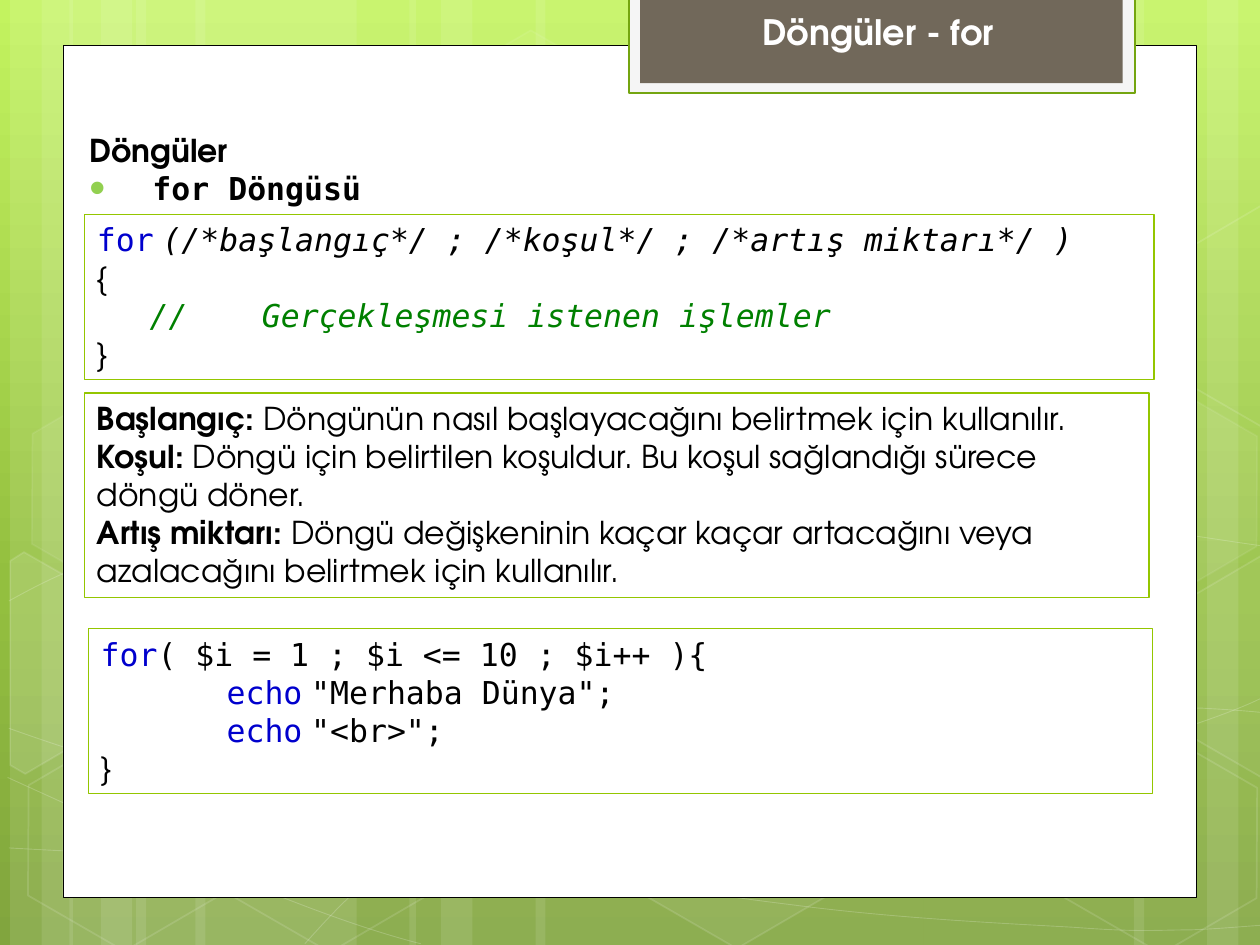
"""Build a slide on the for loop, with code and notes in framed boxes."""
from copy import deepcopy
from math import cos, radians, sin

from lxml import etree
from pptx import Presentation
from pptx.dml.color import RGBColor
from pptx.enum.shapes import MSO_SHAPE
from pptx.enum.text import MSO_ANCHOR, PP_ALIGN
from pptx.oxml.ns import qn
from pptx.util import Inches, Pt

RECT, HEX = MSO_SHAPE.RECTANGLE, MSO_SHAPE.HEXAGON
TOP, LEFT, MID = MSO_ANCHOR.TOP, PP_ALIGN.LEFT, PP_ALIGN.CENTER
SANS, MONO = "TeX Gyre Adventor", "DejaVu Sans Mono"
TILT = 30
INK = {"white": "FFFFFF", "black": "000000", "blue": "0000CD", "green": "008000",
       "dot": "92D050", "frame": "94C600", "edge": "74A510", "pale": "F5F5F5",
       "brown": "71685A"}
SKY = [(0, "C3F35F"), (0.62, "93BF3F"), (1, "81A53E")]

# style: font, colour, bold, italic
STYLE = {"head": (SANS, "white", True, False), "bold": (SANS, "black", True, False),
         "text": (SANS, "black", False, False), "item": (MONO, "black", True, False),
         "key": (MONO, "blue", False, False), "code": (MONO, "black", False, False),
         "slant": (MONO, "black", False, True), "note": (MONO, "green", False, True)}
TITLE = [(0, 0, [("head", "Döngüler - for")])]
BODY = [(0, 0, [("bold", "Döngüler")]),
        (0.5, -0.5, [("item", "for Döngüsü")])]
# box: place, then lines of margin, indent and runs
BOXES = [
    ((0.67, 1.7, 8.49, 1.31), [
        (0, 0, [("key", "for"), ("text", " "),
                ("slant", "(/*başlangıç*/ ; /*koşul*/ ; /*artış miktarı*/ )")]),
        (0, 0, [("text", "{")]),
        (1.31, -0.89, [("note", "//\tGerçekleşmesi istenen işlemler")]),
        (0, 0, [("text", "}")])]),
    ((0.67, 3.12, 8.45, 1.62), [
        (0, 0, [("bold", "Başlangıç: "),
                ("text", "Döngünün nasıl başlayacağını belirtmek için kullanılır.")]),
        (0, 0, [("bold", "Koşul: "),
                ("text", "Döngü için belirtilen koşuldur. Bu koşul sağlandığı sürece "
                         "döngü döner.")]),
        (0, 0, [("bold", "Artış miktarı: "),
                ("text", "Döngü değişkeninin kaçar kaçar artacağını veya azalacağını "
                         "belirtmek için kullanılır.")])]),
    ((0.7, 4.99, 8.45, 1.31), [
        (0, 0, [("key", "for"), ("code", "( $i = 1 ; $i <= 10 ; $i++ ){")]),
        (1, 0, [("key", "echo"), ("text", " "), ("code", '"Merhaba Dünya";')]),
        (1, 0, [("key", "echo"), ("text", " "), ("code", '"<br>";')]),
        (0, 0, [("text", "}")])]),
]

BANDS = [(1.08, 1.75), (0.08, 0.5), (0.33, 0.83), (1.55, 1.75), (0.55, 0.5),
         (0.8, 0.83), (7.33, 1.75), (9.58, 0.5), (9, 0.83), (4.25, 3.08),
         (3.25, 0.5), (3.5, 0.83)]
# cubic curves: a start, then three points for each piece
CURVES = [
    [(0.07, 6.73), (0.61, 6.76), (1.15, 6.79), (1.9, 6.78), (2.65, 6.77), (3.58, 6.75),
     (4.58, 6.65), (5.58, 6.55), (7, 6.36), (7.92, 6.17), (8.83, 5.98), (9.77, 5.68),
     (10.07, 5.51)],
    [(0.07, 4.77), (0.36, 4.61), (0.65, 4.46), (1.21, 4.31), (1.78, 4.16), (2.59, 3.94),
     (3.47, 3.87), (4.36, 3.8), (5.44, 3.79), (6.54, 3.87), (7.64, 3.95), (9.47, 4.26),
     (10.07, 4.34)],
    [(0.06, 6.17), (1.27, 6.72), (2.47, 7.27), (3.34, 7.49)],
    [(0.07, 5.78), (0.38, 5.89), (0.7, 6), (1.28, 6.16), (1.86, 6.31), (2.73, 6.56),
     (3.57, 6.73), (4.4, 6.9), (5.45, 7.08), (6.28, 7.18), (7.11, 7.29), (8, 7.33),
     (8.53, 7.36), (9.05, 7.4), (9.19, 7.38), (9.45, 7.38), (9.71, 7.37), (9.89, 7.35),
     (10.07, 7.34)],
    [(2.42, 7.49), (2.6, 7.29), (2.78, 7.09), (3.02, 6.91), (3.26, 6.73), (3.6, 6.53),
     (3.88, 6.39), (4.16, 6.25), (4.33, 6.19), (4.7, 6.09), (5.06, 5.99), (5.73, 5.85),
     (6.08, 5.78), (6.44, 5.71), (6.49, 5.71), (6.8, 5.69), (7.11, 5.66), (7.6, 5.63),
     (7.94, 5.62), (8.29, 5.61), (8.86, 5.62), (8.86, 5.62), (9.08, 5.62), (9.31, 5.62),
     (9.53, 5.62), (9.71, 5.63), (9.88, 5.64), (10.06, 5.66)],
]
# left, top, fill opacity, line opacity
CELLS = [(3.34, 0.36, 4, 8), (4.97, 5.89, 6, 12), (0.11, 5.91, 0, 12),
         (0.14, 3.12, 7, 8), (1.74, 5.92, 0, 12), (7.53, 4.53, 10, 12),
         (8.34, 5.93, 0, 12), (8.34, 3.14, 7, 8)]
# centre, points, fill opacity
PARTS = [
    ((0.36, 5.35), [(0.08, 4.45), (0.19, 4.38), (0.96, 4.82), (0.95, 5.7), (0.2, 6.14),
                    (0.08, 6.07)], 10),
    ((9.85, 5.2), [(9.26, 4.85), (10.01, 4.41), (10.09, 4.46), (10.09, 6.13),
                   (10.02, 6.17), (9.26, 5.73)], 4),
    ((9.85, 2.41), [(9.26, 2.07), (10.01, 1.63), (10.1, 1.68), (10.09, 3.35),
                    (10.02, 3.39), (9.26, 2.95)], 0),
]
# place, fill, line, line width
PANELS = [((0.5, 0.36, 9, 6.76), "white", "black", 0.5),
          ((4.99, -0.02, 4.02, 0.76), "pale", "edge", 1.25),
          ((5.08, -0.02, 3.83, 0.68), "brown", None, 0)]


def rgb(name):
    return RGBColor.from_string(INK[name])


def fade(shape, route, part):
    for node in shape.element.spPr.xpath(route + "a:solidFill/a:srgbClr"):
        etree.SubElement(node, qn("a:alpha")).set("val", str(part * 1000))


def paint(shape, fill=None, line=None, width=1, veil=100, haze=100):
    shape.shadow.inherit = False
    if fill and veil:
        shape.fill.solid()
        shape.fill.fore_color.rgb = rgb(fill)
    else:
        shape.fill.background()
    if line:
        shape.line.color.rgb = rgb(line)
        shape.line.width = Pt(width)
    else:
        shape.line.fill.background()
    if veil < 100:
        fade(shape, "./", veil)
    if haze < 100:
        fade(shape, "./a:ln/", haze)


def add(slide, kind, place):
    return slide.shapes.add_shape(kind, *map(Inches, place))


def trace(slide, points, close):
    spots = [(Inches(x), Inches(y)) for x, y in points]
    pen = slide.shapes.build_freeform(*spots[0])
    pen.add_line_segments(spots[1:], close=close)
    return pen.convert_to_shape()


def bend(shape):
    legs = shape.element.spPr.xpath(".//a:lnTo")
    for i in range(0, len(legs), 3):
        arc = etree.Element(qn("a:cubicBezTo"))
        legs[i].addprevious(arc)
        for leg in legs[i:i + 3]:
            arc.append(leg[0])
            leg.getparent().remove(leg)
    return shape


def turn(points, mid):
    c, s = cos(radians(TILT)), sin(radians(TILT))
    gaps = [(x - mid[0], y - mid[1]) for x, y in points]
    return [(mid[0] + x * c + y * s, mid[1] + y * c - x * s) for x, y in gaps]


def write(shape, lines, size=18, align=LEFT, wrap=True):
    frame = shape.text_frame
    frame.word_wrap, frame.vertical_anchor = wrap, TOP
    for i, (left, dent, runs) in enumerate(lines):
        para = frame.add_paragraph() if i else frame.paragraphs[0]
        para.alignment = align
        para.space_before = para.space_after = Pt(0)
        props = para._p.get_or_add_pPr()
        props.set("marL", str(Inches(left)))
        props.set("indent", str(Inches(dent)))
        etree.SubElement(props, qn("a:buNone"))
        for style, text in runs:
            run = para.add_run()
            run.text = text
            font = run.font
            font.name, tone, font.bold, font.italic = STYLE[style]
            font.size, font.color.rgb = Pt(size), rgb(tone)


def dot(para):
    props = para._p.pPr
    props.remove(props.find(qn("a:buNone")))
    tint = etree.SubElement(props, qn("a:buClr"))
    etree.SubElement(tint, qn("a:srgbClr")).set("val", INK["dot"])
    etree.SubElement(props, qn("a:buSzPct")).set("val", "145000")
    etree.SubElement(props, qn("a:buChar")).set("char", "•")


def seat(slide, shape, place):
    shape.left, shape.top, shape.width, shape.height = map(Inches, place)
    slide.shapes._spTree.append(shape.element)


def main():
    deck = Presentation()
    deck.slide_width, deck.slide_height = Inches(10), Inches(7.5)
    slide = deck.slides.add_slide(deck.slide_layouts[1])
    fill = slide.background.fill
    fill.gradient()
    fill.gradient_angle = 270
    stops = slide.element.xpath(".//a:gsLst")[0]
    stops.append(deepcopy(stops[-1]))
    for stop, (spot, tone) in zip(fill.gradient_stops, SKY):
        stop.position, stop.color.rgb = spot, RGBColor.from_string(tone)

    for left, width in BANDS:
        paint(add(slide, RECT, (left, 0, width, 7.5)), "white", veil=10)
    for points in CURVES:
        paint(bend(trace(slide, points, False)), None, "white", 0.5, haze=20)
    for left, top, veil, haze in CELLS:
        cell = add(slide, HEX, (left, top, 1.75, 1.52))
        cell.rotation, cell.adjustments[0] = TILT, 0.285
        paint(cell, "white", "white", 1, veil, haze)
    for mid, points, veil in PARTS:
        part = trace(slide, turn(points, mid), True)
        part.rotation = TILT
        paint(part, "white", "white", 1, veil, 12)
    for place, tone, line, width in PANELS:
        paint(add(slide, RECT, place), tone, line, width)

    title, body = slide.shapes.title, slide.placeholders[1]
    seat(slide, body, (0.61, 0.99, 8.63, 0.71))
    write(body, BODY)
    dot(body.text_frame.paragraphs[1])
    seat(slide, title, (5.94, 0.03, 2.06, 0.44))
    write(title, TITLE, 20, MID, False)
    for place, lines in BOXES:
        box = add(slide, RECT, place)
        paint(box, None, "frame", 0.75)
        write(box, lines)
    deck.save("out.pptx")


if __name__ == "__main__":
    main()
